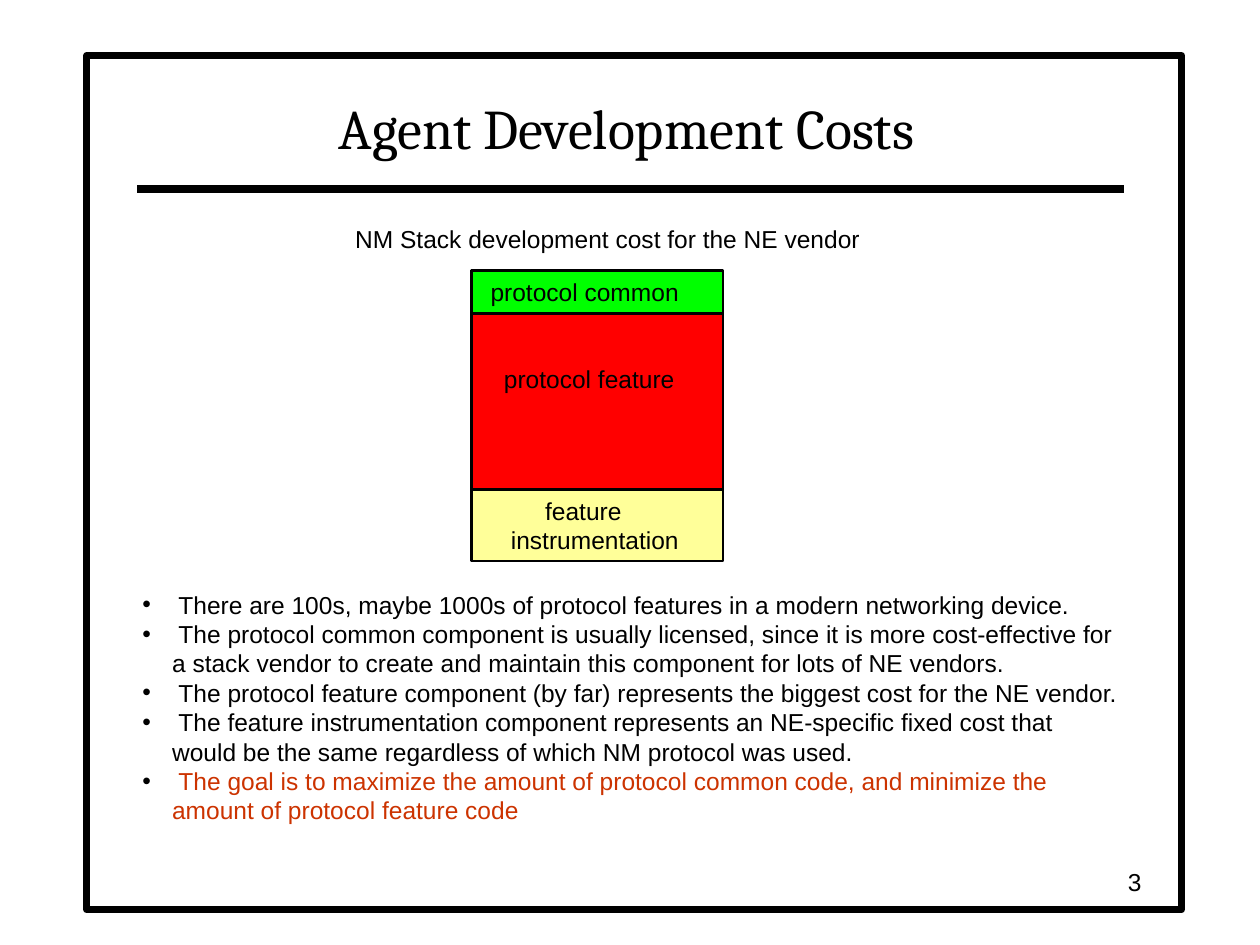
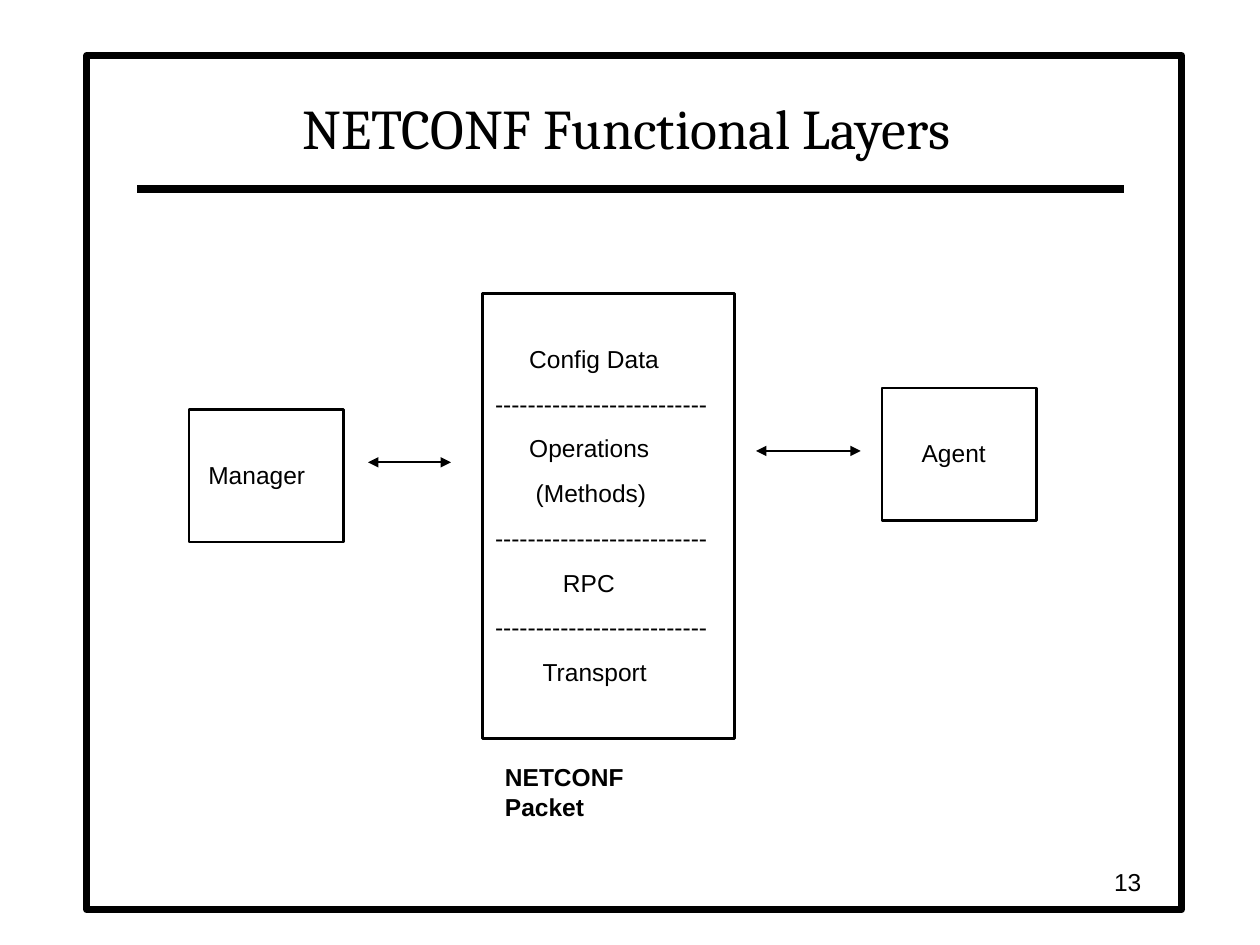
from pptx import Presentation
from pptx.dml.color import RGBColor
from pptx.enum.shapes import MSO_CONNECTOR, MSO_SHAPE
from pptx.enum.text import MSO_ANCHOR, PP_ALIGN
from pptx.oxml.ns import qn
from pptx.util import Cm, Pt
from lxml.etree import SubElement

COLORS = {
    "ink": "000000",
    "paper": "FFFFFF",
    "common": "00FF00",
    "feature": "FF0000",
    "instrumentation": "FFFF99",
    "goal": "CC3300",
}
BODY_FONT = "Arial"
TITLE_FONT = "Cambria"
BODY_SIZE = 14
LABEL_GAP = 8.8
LOWERED = 1.01
STACK_LEFT = 9.5
STACK_WIDTH = 5.08
DIVIDER = ("-" * 26, 0)

COSTS = [
    "There are 100s, maybe 1000s of protocol features in a modern networking device.",
    "The protocol common component is usually licensed, since it is more cost-effective "
    "for a stack vendor to create and maintain this component for lots of NE vendors.",
    "The protocol feature component (by far) represents the biggest cost for the NE vendor.",
    "The feature instrumentation component represents an NE-specific fixed cost that "
    "would be the same regardless of which NM protocol was used.",
]
GOAL = ("The goal is to maximize the amount of protocol common code, "
        "and minimize the amount of protocol feature code")
STACK = [
    ("common", 5.46, 0.86, [("protocol common", 0.14)], 0.13),
    ("feature", 6.32, 3.55, [("protocol feature", 0.41)], LOWERED),
    ("instrumentation", 9.87, 1.44, [("feature", 1.24), ("instrumentation", 0.55)], 0.13),
]
LAYERS = [
    ("Config Data", 0.69), DIVIDER,
    ("Operations", 0.69), ("(Methods)", 0.82), DIVIDER,
    ("RPC", 1.37), DIVIDER,
    ("Transport", 0.96),
]


def color(name):
    return RGBColor.from_string(COLORS[name])


def style_runs(para, size=BODY_SIZE, font=BODY_FONT, ink="ink", bold=False):
    for span in para.runs:
        span.font.size = Pt(size)
        span.font.name = font
        span.font.bold = bold
        span.font.color.rgb = color(ink)


def add_rectangle(page, left, top, width, height, fill=None, line=1.5):
    box = page.shapes.add_shape(MSO_SHAPE.RECTANGLE, Cm(left), Cm(top), Cm(width), Cm(height))
    box.shadow.inherit = False
    if fill:
        box.fill.solid()
        box.fill.fore_color.rgb = color(fill)
    else:
        box.fill.background()
    box.line.color.rgb = color("ink")
    box.line.width = Pt(line)
    return box


def add_labelled_box(page, left, top, width, height, labels, margin_top=LOWERED,
                     fill=None, gap=LABEL_GAP):
    box = add_rectangle(page, left, top, width, height, fill)
    frame = box.text_frame
    frame.word_wrap = True
    frame.vertical_anchor = MSO_ANCHOR.TOP
    frame.margin_top = Cm(margin_top)
    frame.text = "\n".join(text for text, indent in labels)
    for number, (para, (text, indent)) in enumerate(zip(frame.paragraphs, labels)):
        para._p.get_or_add_pPr().set("marL", str(Cm(indent)))
        para.alignment = PP_ALIGN.LEFT
        para.space_before = Pt(gap if number else 0)
        style_runs(para)


def add_text(page, left, top, width, height, text, align=PP_ALIGN.LEFT,
             anchor=MSO_ANCHOR.TOP, wrap=True, **style):
    box = page.shapes.add_textbox(Cm(left), Cm(top), Cm(width), Cm(height))
    frame = box.text_frame
    frame.word_wrap = wrap
    frame.vertical_anchor = anchor
    frame.text = text
    for para in frame.paragraphs:
        para.alignment = align
        style_runs(para, **style)
    return frame


def add_bullets(page, left, top, width, height, items):
    frame = add_text(page, left, top, width, height, "\n".join(f" {item}" for item in items))
    for para in frame.paragraphs:
        properties = para._p.get_or_add_pPr()
        properties.set("marL", str(Cm(0.6)))
        properties.set("indent", str(-Cm(0.6)))
        bullet_color = SubElement(properties, qn("a:buClr"))
        SubElement(bullet_color, qn("a:srgbClr"), val=COLORS["ink"])
        SubElement(properties, qn("a:buFont"), typeface=BODY_FONT)
        SubElement(properties, qn("a:buChar"), char="•")
    return frame


def add_line(page, start, end, y, width, arrows=False):
    line = page.shapes.add_connector(MSO_CONNECTOR.STRAIGHT, Cm(start), Cm(y), Cm(end), Cm(y))
    line.line.color.rgb = color("ink")
    line.line.width = Pt(width)
    if arrows:
        outline = line.line._get_or_add_ln()
        for tip in ("a:headEnd", "a:tailEnd"):
            SubElement(outline, qn(tip), type="triangle")
    SubElement(line._element.spPr, qn("a:effectLst"))


def add_page(deck, title, number):
    page = deck.slides.add_slide(deck.slide_layouts[6])
    add_rectangle(page, 1.75, 1.12, 22.07, 17.22, "paper", 4)
    add_line(page, 2.77, 22.66, 3.81, 4.5)
    add_text(page, 2.74, 1.47, 19.79, 1.9, title, PP_ALIGN.CENTER, MSO_ANCHOR.BOTTOM,
             size=32, font=TITLE_FONT)
    add_text(page, 17.98, 17.35, 5.28, 0.84, str(number), PP_ALIGN.RIGHT, MSO_ANCHOR.MIDDLE)
    return page


def build_costs(deck):
    page = add_page(deck, "Agent Development Costs", 3)
    add_text(page, 6.91, 4.39, 10.69, 0.86,
             "NM Stack development cost for the NE vendor", wrap=False)
    for fill, top, height, labels, margin_top in STACK:
        add_labelled_box(page, STACK_LEFT, top, STACK_WIDTH, height, labels,
                         margin_top, fill, gap=0)
    frame = add_bullets(page, 2.62, 11.76, 20.17, 5, COSTS + [GOAL])
    style_runs(frame.paragraphs[-1], ink="goal")


def build_layers(deck):
    page = add_page(deck, "NETCONF Functional Layers", 13)
    add_labelled_box(page, 3.81, 8.26, 3.12, 2.67, [("Manager", 0.14)])
    add_labelled_box(page, 17.78, 7.82, 3.12, 2.67, [("Agent", 0.55)])
    add_labelled_box(page, 9.73, 5.92, STACK_WIDTH, 8.97, LAYERS)
    add_line(page, 7.42, 9.09, 9.32, 1, arrows=True)
    add_line(page, 15.24, 17.35, 9.09, 1, arrows=True)
    add_text(page, 9.93, 15.24, 4.62, 0.86, "NETCONF Packet", wrap=False, bold=True)


def main():
    deck = Presentation()
    deck.slide_width = Cm(25.4)
    deck.slide_height = Cm(19.05)
    build_costs(deck)
    build_layers(deck)
    deck.save("out.pptx")


if __name__ == "__main__":
    main()
